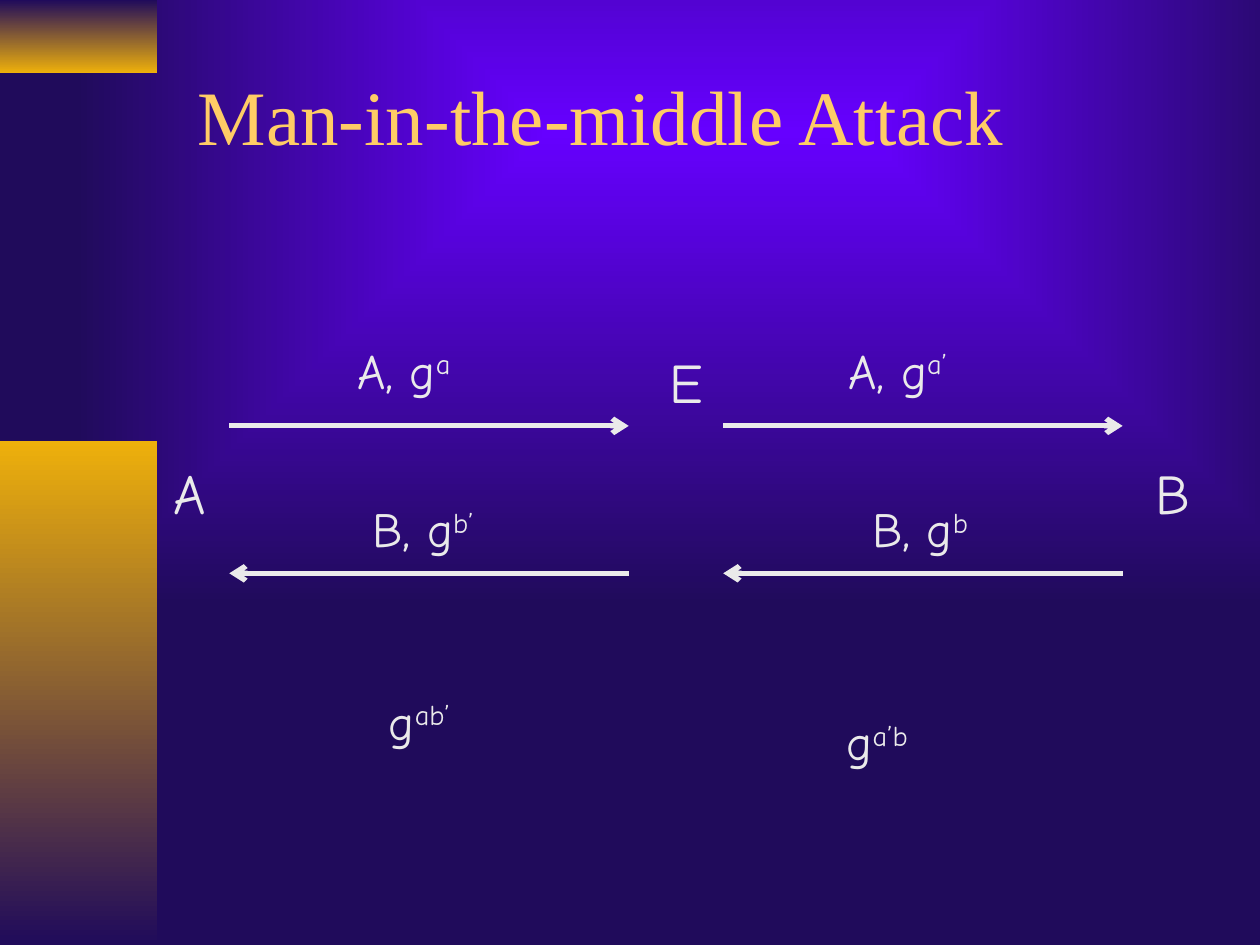
from lxml import etree
from pptx import Presentation
from pptx.dml.color import RGBColor
from pptx.enum.shapes import MSO_CONNECTOR, MSO_SHAPE
from pptx.enum.text import MSO_ANCHOR, MSO_AUTO_SIZE, PP_ALIGN
from pptx.oxml.ns import qn
from pptx.util import Inches, Pt

STRAIGHT = MSO_CONNECTOR.STRAIGHT
RECTANGLE = MSO_SHAPE.RECTANGLE
MIDDLE = MSO_ANCHOR.MIDDLE
GROW = MSO_AUTO_SIZE.SHAPE_TO_FIT_TEXT
LEFT, CENTER = PP_ALIGN.LEFT, PP_ALIGN.CENTER

NAVY, VIOLET, GOLD = "200B5B", "6600FF", "EEB00B"
TITLE_COLOR, CHALK = "FFCC66", "EAEAEA"
TITLE_FONT, BODY_FONT = "Times New Roman", "Comic Neue"


def color(hex_text):
    return RGBColor.from_string(hex_text)


def fill_gradient(fill, start, end):
    fill.gradient()
    for stop, position, shade in zip(fill.gradient_stops, (0, 1), (start, end)):
        stop.position = position
        stop.color.rgb = color(shade)


def paint_background(page):
    fill = page.background.fill
    fill_gradient(fill, VIOLET, NAVY)
    gradient = page._element.find(".//" + qn("a:gradFill"))
    gradient.remove(gradient.find(qn("a:lin")))
    glow = etree.SubElement(gradient, qn("a:path"), {"path": "shape"})
    etree.SubElement(glow, qn("a:fillToRect"),
                     {"l": "14000", "t": "6000", "r": "1000", "b": "78000"})


def add_side_bar(page, box, start, end):
    bar = page.shapes.add_shape(RECTANGLE, *map(Inches, box))
    bar.shadow.inherit = False
    bar.line.fill.background()
    fill_gradient(bar.fill, start, end)
    bar.fill.gradient_angle = 270


def add_span(para, text, size, font, shade):
    span = para.add_run()
    span.text = text
    span.font.size = Pt(size)
    span.font.name = font
    span.font.color.rgb = color(shade)
    return span


def place_title(page, box, text):
    title = page.shapes.title
    title.left, title.top, title.width, title.height = map(Inches, box)
    title.text_frame.vertical_anchor = MIDDLE
    para = title.text_frame.paragraphs[0]
    para.alignment = LEFT
    add_span(para, text, 44, TITLE_FONT, TITLE_COLOR)


def add_label(page, box, text, exponent="", size=28):
    frame = page.shapes.add_textbox(*map(Inches, box)).text_frame
    frame.word_wrap = True
    frame.auto_size = GROW
    para = frame.paragraphs[0]
    para.alignment = CENTER
    add_span(para, text, size, BODY_FONT, CHALK)
    if exponent:
        raised = add_span(para, exponent, size, BODY_FONT, CHALK)
        raised.font._element.set("baseline", "30000")


def add_arrow(page, start, end, height):
    arrow = page.shapes.add_connector(
        STRAIGHT, Inches(start), Inches(height), Inches(end), Inches(height))
    arrow.line.color.rgb = color(CHALK)
    arrow.line.width = Pt(3)
    etree.SubElement(arrow.line._get_or_add_ln(), qn("a:tailEnd"), {"type": "arrow"})
    etree.SubElement(arrow._element.spPr, qn("a:effectLst"))


def add_exchange(page, box, sent, reply, reply_box):
    left, top, width, height = box
    right = left + width
    add_arrow(page, left, right, top)
    add_arrow(page, right, left, top + height)
    add_label(page, (left + 0.51, 2.65, 1.75, 0.57), "A, g", sent)
    add_label(page, reply_box, "B, g", reply)


def add_parties(page):
    for name, left, top in (("A", 1.22, 3.59), ("B", 9.02, 3.59), ("E", 5.16, 2.71)):
        add_label(page, (left, top, 0.58, 0.63), name, size=32)


def add_shared_keys(page):
    add_label(page, (1.74, 5.44, 3.25, 0.57), "g", "ab’ ")
    add_label(page, (5.31, 5.6, 3.25, 0.57), " g", "a’b ")


def main():
    deck = Presentation()
    deck.slide_width, deck.slide_height = Inches(10), Inches(7.5)
    page = deck.slides.add_slide(deck.slide_layouts[5])
    paint_background(page)
    add_side_bar(page, (0, 0, 1.25, 0.58), NAVY, GOLD)
    add_side_bar(page, (0, 3.5, 1.25, 4), GOLD, NAVY)
    place_title(page, (1.47, 0.16, 8.26, 1.5), "Man-in-the-middle Attack")
    add_exchange(page, (1.82, 3.38, 3.17, 1.17), "a", "b’ ", (1.77, 3.91, 3.25, 0.57))
    add_exchange(page, (5.74, 3.38, 3.17, 1.17), "a’", "b ", (5.63, 3.91, 3.42, 0.57))
    add_parties(page)
    add_shared_keys(page)
    deck.save("out.pptx")


if __name__ == "__main__":
    main()
